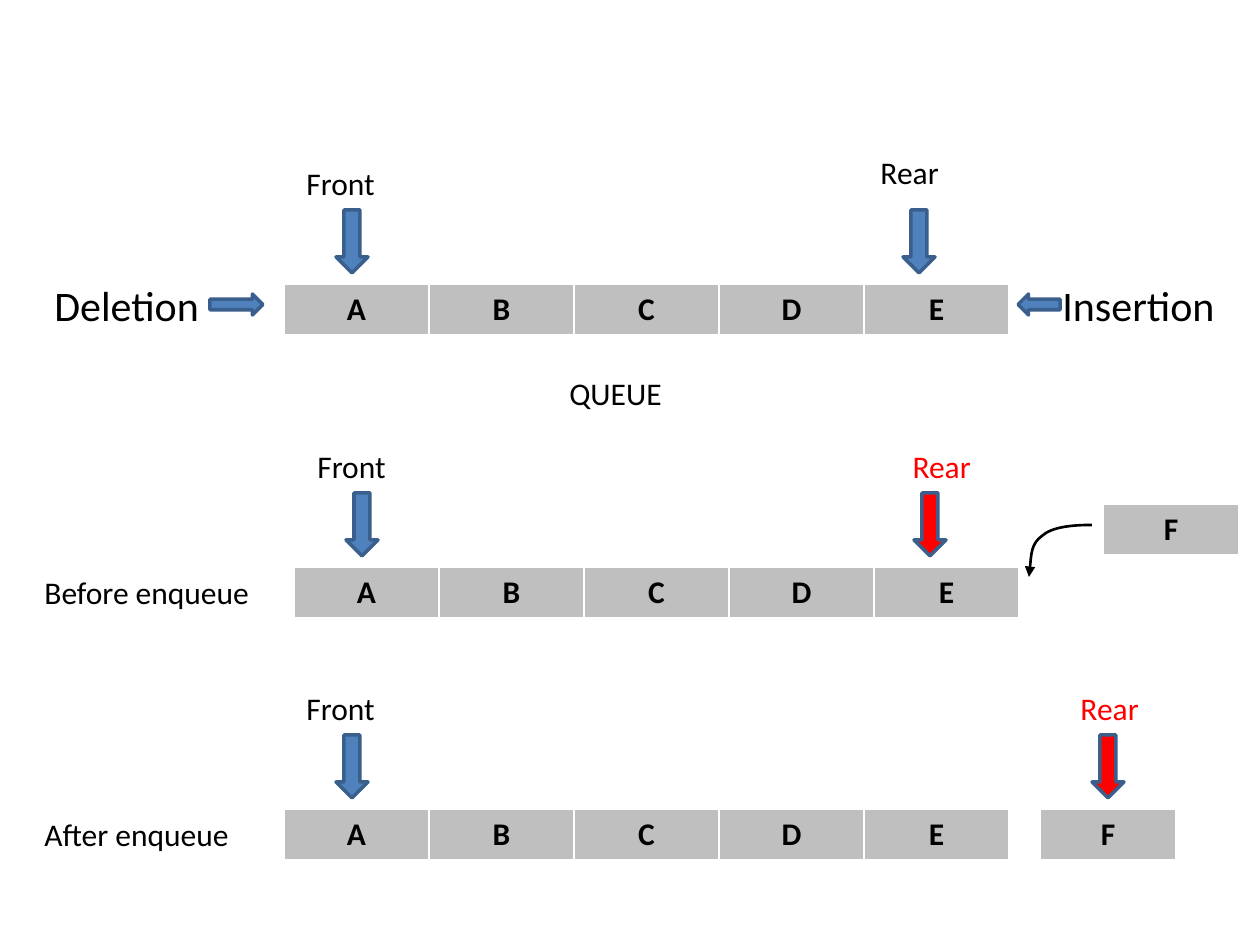
from lxml import etree
from pptx import Presentation
from pptx.dml.color import RGBColor
from pptx.enum.shapes import MSO_SHAPE
from pptx.enum.text import PP_ALIGN
from pptx.oxml.ns import qn
from pptx.util import Pt

PX = 914400 / 126
BLACK, RED, BLUE, OUTLINE, GRAY, WHITE = "000000", "FF0000", "4F81BD", "3A5F8C", "BFBFBF", "FFFFFF"
DOWN, RIGHT, LEFT = MSO_SHAPE.DOWN_ARROW, MSO_SHAPE.RIGHT_ARROW, MSO_SHAPE.LEFT_ARROW


def emu(*pixels):
    return [round(value * PX) for value in pixels]


def write(paragraph, text, size, color, bold=False):
    run = paragraph.add_run()
    run.text = text
    run.font.name = "Calibri"
    run.font.size = Pt(size)
    run.font.bold = bold
    run.font.color.rgb = RGBColor.from_string(color)


prs = Presentation()
prs.slide_width, prs.slide_height = emu(1260, 945)
slide = prs.slides.add_slide(prs.slide_layouts[6])
shapes = slide.shapes

queues = [
    (284, 284, 145, "ABCDE"),
    (294, 567, 145, "ABCDE"),
    (284, 809, 145, "ABCDE"),
    (1103, 504, 136, "F"),
    (1040, 809, 136, "F"),
]
for x, y, cell_width, letters in queues:
    frame = shapes.add_table(1, len(letters), *emu(x, y, cell_width * len(letters), 52))
    table = frame.table
    for column, letter in enumerate(letters):
        table.columns[column].width = emu(cell_width)[0]
        cell = table.cell(0, column)
        properties = cell._tc.get_or_add_tcPr()
        for side, points in (("lnL", 1), ("lnR", 1), ("lnT", 1), ("lnB", 3)):
            border = etree.SubElement(properties, qn("a:" + side), w=str(Pt(points)))
            fill = etree.SubElement(border, qn("a:solidFill"))
            etree.SubElement(fill, qn("a:srgbClr"), val=WHITE)
        cell.fill.solid()
        cell.fill.fore_color.rgb = RGBColor.from_string(GRAY)
        paragraph = cell.text_frame.paragraphs[0]
        paragraph.alignment = PP_ALIGN.CENTER
        write(paragraph, letter, 18, BLACK, True)

labels = [
    ("Front", 294, 158, 126, 50, 18, BLACK),
    (" Rear", 861, 147, 126, 50, 18, BLACK),
    ("QUEUE", 557, 368, 136, 53, 18, BLACK),
    ("Deletion", 42, 273, 179, 63, 24, BLACK),
    ("Insertion", 1050, 273, 179, 63, 24, BLACK),
    ("Front", 305, 441, 126, 50, 18, BLACK),
    (" Rear", 893, 441, 105, 50, 18, RED),
    ("Front", 294, 683, 126, 50, 18, BLACK),
    (" Rear", 1061, 683, 105, 50, 18, RED),
    ("Before enqueue", 32, 567, 231, 50, 18, BLACK),
    ("After enqueue", 32, 809, 231, 50, 18, BLACK),
]
for text, x, y, width, height, size, color in labels:
    box = shapes.add_textbox(*emu(x, y, width, height))
    box.text_frame.word_wrap = True
    write(box.text_frame.paragraphs[0], text, size, color)

arrows = [
    (DOWN, 336, 210, 32, 63, BLUE),
    (DOWN, 903, 210, 32, 63, BLUE),
    (RIGHT, 210, 294, 53, 21, BLUE),
    (LEFT, 1018, 294, 42, 21, BLUE),
    (DOWN, 346, 493, 32, 63, BLUE),
    (DOWN, 914, 493, 32, 63, RED),
    (DOWN, 336, 735, 32, 63, BLUE),
    (DOWN, 1092, 735, 32, 63, RED),
]
for kind, x, y, width, height, color in arrows:
    arrow = shapes.add_shape(kind, *emu(x, y, width, height))
    arrow.shadow.inherit = False
    arrow.fill.solid()
    arrow.fill.fore_color.rgb = RGBColor.from_string(color)
    arrow.line.color.rgb = RGBColor.from_string(OUTLINE)
    arrow.line.width = Pt(2)

builder = shapes.build_freeform(1092, 525, scale=PX)
builder.add_line_segments(
    [(1072, 525), (1052, 527), (1042, 536), (1031, 544), (1031, 561), (1029, 577)], close=False
)
curve = builder.convert_to_shape()
curve.shadow.inherit = False
curve.fill.background()
curve.line.color.rgb = RGBColor.from_string(BLACK)
curve.line.width = Pt(1.5)
etree.SubElement(curve.line._get_or_add_ln(), qn("a:tailEnd"), type="triangle")
path = next(curve._element.iter(qn("a:path")))
segments = path.findall(qn("a:lnTo"))
for start in range(0, len(segments), 3):
    bezier = etree.SubElement(path, qn("a:cubicBezTo"))
    for segment in segments[start:start + 3]:
        bezier.append(segment[0])
        path.remove(segment)

prs.save("out.pptx")
